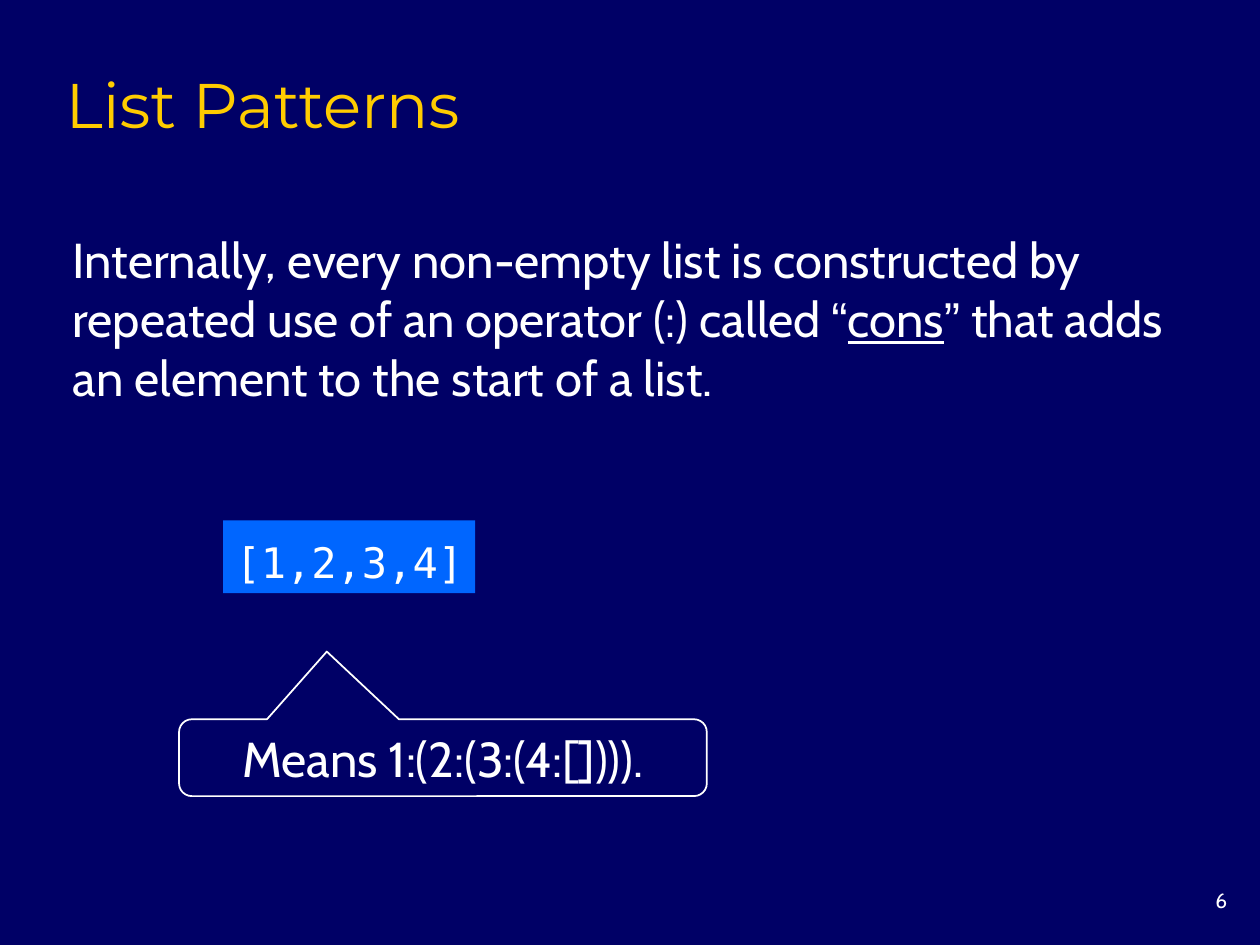
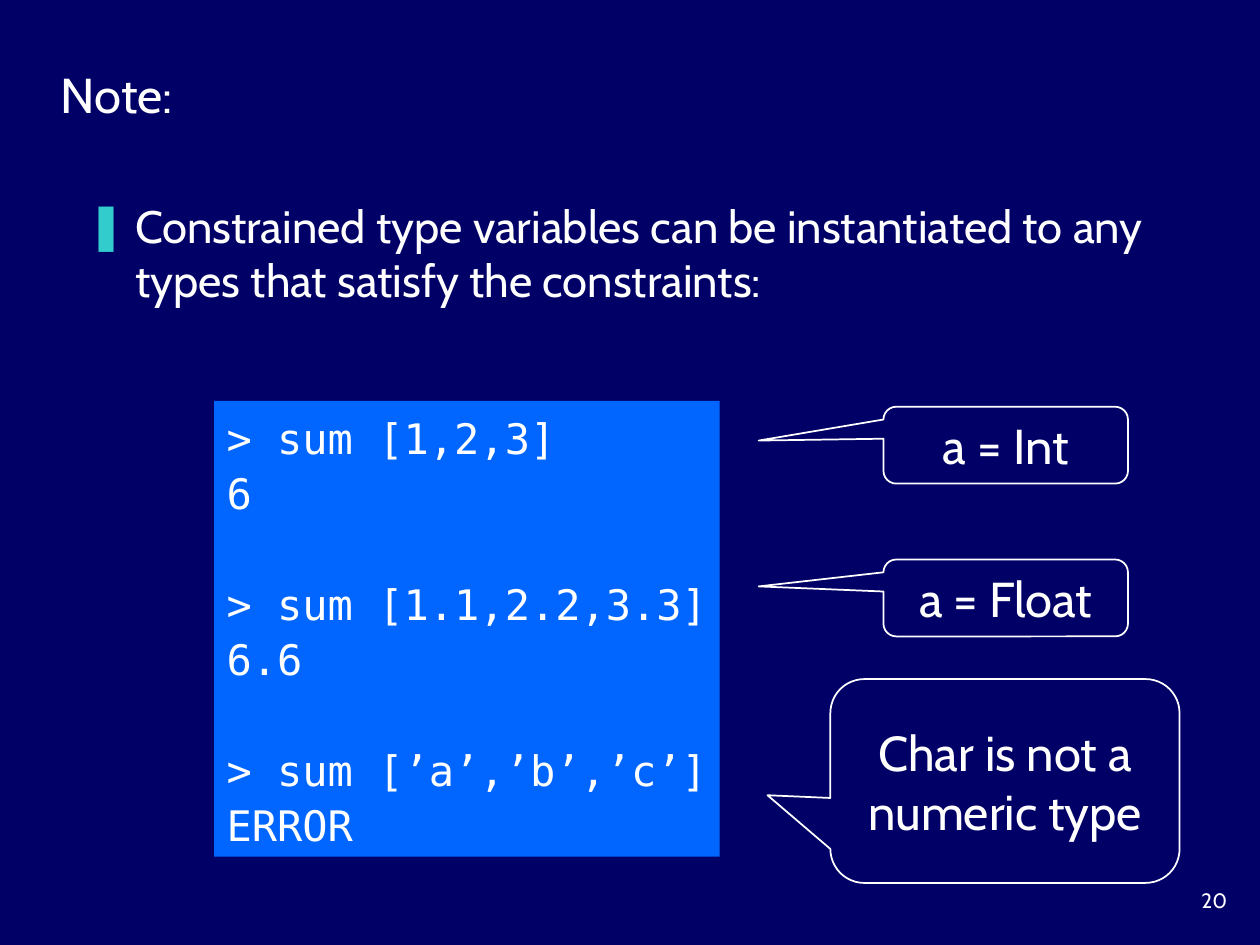
from lxml import etree
from pptx import Presentation
from pptx.dml.color import RGBColor
from pptx.enum.shapes import MSO_SHAPE
from pptx.enum.text import MSO_ANCHOR, MSO_AUTO_SIZE, PP_ALIGN
from pptx.oxml.ns import qn
from pptx.util import Cm, Pt

RECTANGLE = MSO_SHAPE.RECTANGLE
CALLOUT = MSO_SHAPE.ROUNDED_RECTANGULAR_CALLOUT
TOP, MIDDLE, BOTTOM = MSO_ANCHOR.TOP, MSO_ANCHOR.MIDDLE, MSO_ANCHOR.BOTTOM
LEFT, CENTER, RIGHT = PP_ALIGN.LEFT, PP_ALIGN.CENTER, PP_ALIGN.RIGHT
NO_FIT = MSO_AUTO_SIZE.NONE

# Shared look
NAVY, BLUE, TEAL, GOLD, WHITE = "000066", "0066FF", "33CCCC", "FFCC00", "FFFFFF"
TEXT_FONT, TITLE_FONT, CODE_FONT, QUOTE_FONT = (
    "Cabin", "Montserrat", "DejaVu Sans Mono", "Arial")
TEXT_SIZE, CODE_SIZE = 28, 24
TITLE_ONLY, TITLE_AND_BODY = 5, 1


def color(hex_string):
    return RGBColor.from_string(hex_string)


def place(shape, left, top, width, height):
    shape.left, shape.top = Cm(left), Cm(top)
    shape.width, shape.height = Cm(width), Cm(height)


def set_frame(shape, anchor, wrap=True):
    frame = shape.text_frame
    frame.auto_size = NO_FIT
    frame.word_wrap = wrap
    frame.vertical_anchor = anchor
    return frame


def style(para, size=TEXT_SIZE, name=TEXT_FONT, ink=WHITE, align=LEFT,
          spacing=1.0, before=0):
    para.alignment = align
    para.line_spacing = spacing
    para.space_before = Pt(before)
    para.font.size = Pt(size)
    para.font.name = name
    para.font.color.rgb = color(ink)


def write(shape, text, anchor=MIDDLE, wrap=True, **look):
    para = set_frame(shape, anchor, wrap).paragraphs[0]
    para.text = text
    style(para, **look)
    return para


def add_box(page, area, text, **look):
    box = page.shapes.add_textbox(*map(Cm, area))
    return write(box, text, **look)


def add_page(deck, layout, number):
    page = deck.slides.add_slide(deck.slide_layouts[layout])
    add_box(page, (23.29, 17.78, 1.7, 0.84), number,
            anchor=TOP, size=11.9, align=RIGHT)
    return page


def set_title(page, area, text, **look):
    place(page.shapes.title, *area)
    write(page.shapes.title, text, **look)


def add_code(page, area, groups, spacing):
    """Blue panel of code; groups of lines are set one line apart."""
    panel = page.shapes.add_shape(RECTANGLE, *map(Cm, area))
    panel.shadow.inherit = False
    panel.fill.solid()
    panel.fill.fore_color.rgb = color(BLUE)
    panel.line.fill.background()
    frame = set_frame(panel, MIDDLE, wrap=False)
    for group_index, lines in enumerate(groups):
        for line_index, line in enumerate(lines):
            is_first = group_index == line_index == 0
            para = frame.paragraphs[0] if is_first else frame.add_paragraph()
            para.text = line
            opens_group = group_index > 0 and line_index == 0
            style(para, CODE_SIZE, CODE_FONT, spacing=spacing,
                  before=31.5 if opens_group else 0)


def add_callout(page, area, tip, text):
    """Outlined bubble; tip is the pointer's offset from the centre."""
    bubble = page.shapes.add_shape(CALLOUT, *map(Cm, area))
    bubble.shadow.inherit = False
    bubble.fill.background()
    bubble.line.color.rgb = color(WHITE)
    bubble.line.width = Pt(1)
    bubble.adjustments[0], bubble.adjustments[1] = tip
    write(bubble, text, align=CENTER)


def add_bullet(para, mark, ink, indent):
    properties = para._p.get_or_add_pPr()
    properties.set("marL", str(Cm(indent)))
    properties.set("indent", str(-Cm(indent)))
    bullet_color = etree.SubElement(properties, qn("a:buClr"))
    etree.SubElement(bullet_color, qn("a:srgbClr"), val=ink)
    etree.SubElement(properties, qn("a:buFont"), typeface=TEXT_FONT)
    etree.SubElement(properties, qn("a:buChar"), char=mark)
    # Default run properties close the paragraph properties
    defaults = properties.find(qn("a:defRPr"))
    if defaults is not None:
        properties.append(defaults)


def build_list_patterns(deck):
    page = add_page(deck, TITLE_ONLY, "6")
    set_title(page, (1.07, 1.07, 21.59, 1.9), "List Patterns",
              anchor=BOTTOM, size=36, name=TITLE_FONT, ink=GOLD)

    # Explanation with one underlined term between quotes
    para = add_box(page, (1.22, 4.5, 22.58, 3.81), "")
    for text, name, underline in (
            ("Internally, every non-empty list is constructed by repeated "
             "use of an operator (:) called ", TEXT_FONT, False),
            ("“", QUOTE_FONT, False),
            ("cons", TEXT_FONT, True),
            ("”", QUOTE_FONT, False),
            (" that adds an element to the start of a list.",
             TEXT_FONT, False)):
        span = para.add_run()
        span.text = text
        span.font.name = name
        span.font.underline = underline

    # Example and its meaning
    add_code(page, (4.5, 10.49, 5.08, 1.47), [["[1,2,3,4]"]], 1.2)
    add_callout(page, (3.61, 14.5, 10.64, 1.55), (-0.22, -1.38),
                "Means 1:(2:(3:(4:[]))).")


def build_constraints_note(deck):
    page = add_page(deck, TITLE_AND_BODY, "20")
    set_title(page, (0.97, 1.17, 3.02, 1.45), "Note:", wrap=False)

    # Bulleted statement
    body = page.placeholders[1]
    place(body, 1.5, 3.86, 22.89, 3)
    para = write(body, "Constrained type variables can be instantiated to "
                 "any types that satisfy the constraints:",
                 anchor=TOP, size=25.9, before=7)
    add_bullet(para, "❚", TEAL, 0.97)

    # Session with a remark on each call
    add_code(page, (4.32, 8.08, 10.19, 9.19),
             [["> sum [1,2,3]", "6"],
              ["> sum [1.1,2.2,3.3]", "6.6"],
              ["> sum [’a’,’b’,’c’]", "ERROR"]], 1.1)
    for top, tip, text in ((8.2, (-1.01, -0.06), "a = Int"),
                           (11.28, (-1.01, -0.15), "a = Float")):
        add_callout(page, (17.81, top, 4.93, 1.55), tip, text)
    add_callout(page, (16.74, 13.69, 7.04, 4.11), (-0.68, 0.07),
                "Char is not a numeric type")


def main():
    deck = Presentation()
    deck.slide_width, deck.slide_height = Cm(25.4), Cm(19.05)
    backdrop = deck.slide_master.background.fill
    backdrop.solid()
    backdrop.fore_color.rgb = color(NAVY)
    build_list_patterns(deck)
    build_constraints_note(deck)
    deck.save("out.pptx")


if __name__ == "__main__":
    main()
